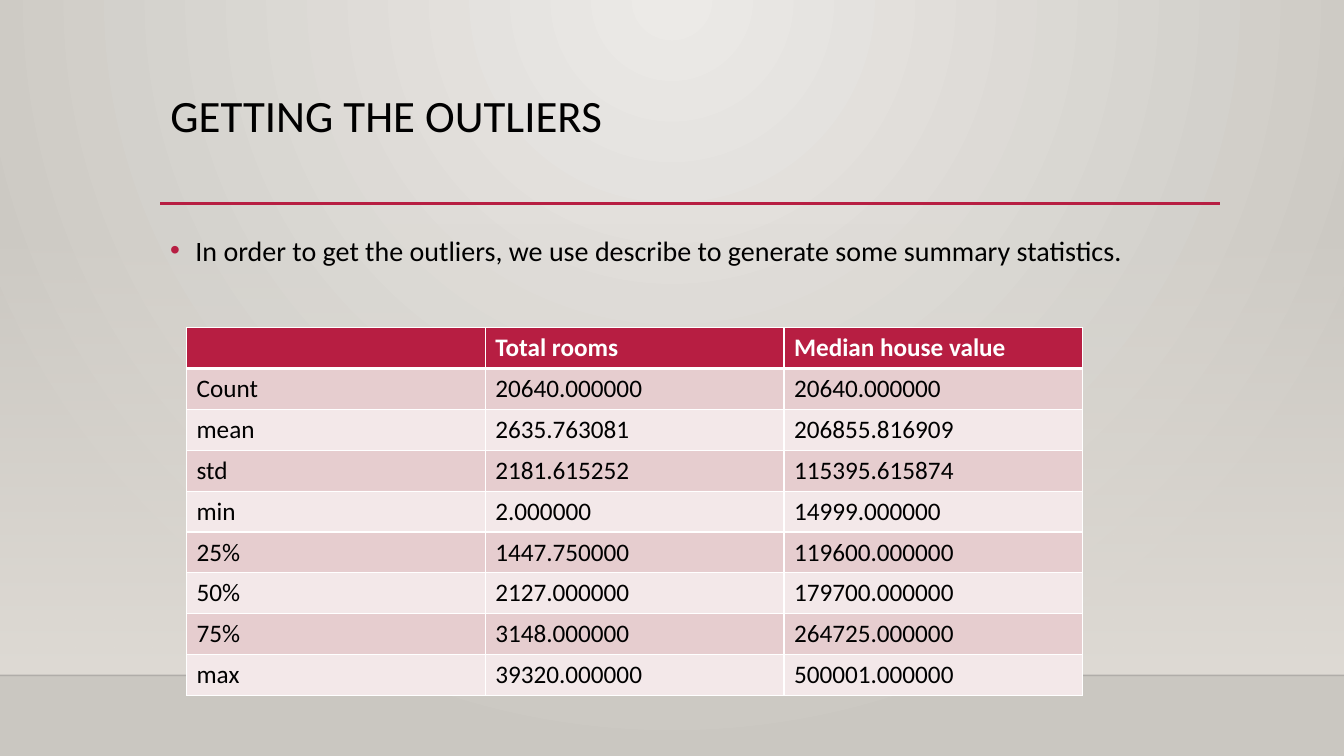
from dataclasses import dataclass

from lxml.etree import SubElement
from pptx import Presentation
from pptx.dml.color import RGBColor
from pptx.enum.shapes import MSO_CONNECTOR as Connector, MSO_SHAPE as Shape
from pptx.enum.text import MSO_ANCHOR as Anchor, PP_ALIGN as Align
from pptx.oxml import parse_xml
from pptx.oxml.ns import nsdecls, qn
from pptx.util import Inches, Pt


@dataclass(frozen=True)
class Theme:
    font: str = "Calibri"
    title_size: int = 32
    body_size: int = 20
    table_size: int = 18
    accent: str = "B71E42"
    text: str = "000000"
    white: str = "FFFFFF"
    glow: str = "ECEAE7"
    edge: str = "CAC7C1"
    wall: str = "DFDBD5"
    floor_line: str = "000001"
    bands: tuple = ("E6CDCF", "F3E8E9")


theme = Theme()


def write_text(frame, text, size, color=theme.text, bold=False, line_spacing=None):
    frame.word_wrap = True
    paragraph = frame.paragraphs[0]
    paragraph.alignment = Align.LEFT
    paragraph.line_spacing = line_spacing
    run = paragraph.add_run()
    run.text = text
    run.font.name = theme.font
    run.font.size = Pt(size)
    run.font.bold = bold
    run.font.color.rgb = RGBColor.from_string(color)
    return paragraph


def set_borders(cell, bottom):
    """Draw white cell borders, one point wide except for the bottom one."""
    properties = cell._tc.get_or_add_tcPr()
    for index, (side, width) in enumerate(zip("LRTB", (1, 1, 1, bottom))):
        properties.insert(index, parse_xml(
            f'<a:ln{side} {nsdecls("a")} w="{Pt(width)}"><a:solidFill>'
            f'<a:srgbClr val="{theme.white}"/></a:solidFill></a:ln{side}>'))


presentation = Presentation()
presentation.slide_width = Inches(13.33)
presentation.slide_height = Inches(7.5)
slide = presentation.slides.add_slide(presentation.slide_layouts[5])

# Radial background, brightest at the top centre
background = slide.background.fill
background.gradient()
for stop, color in zip(background.gradient_stops, (theme.glow, theme.edge)):
    stop.color.rgb = RGBColor.from_string(color)
gradient = slide.element.find(".//" + qn("a:gradFill"))
gradient.replace(gradient.find(qn("a:lin")), parse_xml(
    f'<a:path {nsdecls("a")} path="circle">'
    '<a:fillToRect l="43000" t="0" r="43000" b="100000"/></a:path>'))

# Wall that fades in towards the floor
wall = slide.shapes.add_shape(
    Shape.RECTANGLE, 0, Inches(2.21), Inches(13.33), Inches(4.49))
wall.shadow.inherit = False
wall.line.fill.background()
wall.fill.gradient()
wall.fill.gradient_angle = 270
for stop in wall.fill.gradient_stops:
    stop.color.rgb = RGBColor.from_string(theme.wall)
SubElement(wall.element.find(".//" + qn("a:srgbClr")), qn("a:alpha"), val="0")

# Floor line and title rule: left, right, height, colour, width, opacity
for left, right, y, color, width, opacity in (
    (0, 13.33, 6.7, theme.floor_line, 1, 20),
    (1.59, 12.1, 2.02, theme.accent, 2.5, 100),
):
    line = slide.shapes.add_connector(
        Connector.STRAIGHT, Inches(left), Inches(y), Inches(right), Inches(y))
    line.line.width = Pt(width)
    line.line.color.rgb = RGBColor.from_string(color)
    SubElement(line.element.find(".//" + qn("a:srgbClr")), qn("a:alpha"),
               val=str(opacity * 1000))
    SubElement(line.element.spPr, qn("a:effectLst"))

title = slide.shapes.title
title.left, title.top = Inches(1.59), Inches(0.88)
title.width, title.height = Inches(10.5), Inches(1.15)
title.text_frame.vertical_anchor = Anchor.TOP
write_text(title.text_frame, "GETTING THE OUTLIERS", theme.title_size, line_spacing=0.9)

body = slide.shapes.add_textbox(Inches(1.59), Inches(2.2), Inches(10.5), Inches(3.77))
bullet = write_text(
    body.text_frame,
    "In order to get the outliers, we use describe to generate some summary statistics.",
    theme.body_size, line_spacing=1.2)
bullet.space_before = Pt(10)
bullet_format = bullet._p.get_or_add_pPr()
bullet_format.set("marL", str(Inches(0.25)))
bullet_format.set("indent", str(Inches(-0.25)))
bullet_color = SubElement(bullet_format, qn("a:buClr"))
SubElement(bullet_color, qn("a:srgbClr"), val=theme.accent)
SubElement(bullet_format, qn("a:buFont"), typeface="Arial")
SubElement(bullet_format, qn("a:buChar"), char="•")

statistics = (
    ("", "Total rooms", "Median house value"),
    ("Count", "20640.000000", "20640.000000"),
    ("mean", "2635.763081", "206855.816909"),
    ("std", "2181.615252", "115395.615874"),
    ("min", "2.000000", "14999.000000"),
    ("25%", "1447.750000", "119600.000000"),
    ("50%", "2127.000000", "179700.000000"),
    ("75%", "3148.000000", "264725.000000"),
    ("max", "39320.000000", "500001.000000"),
)
table = slide.shapes.add_table(
    len(statistics), len(statistics[0]),
    Inches(1.85), Inches(3.25), Inches(8.89), Inches(3.65)).table
for row, values in enumerate(statistics):
    header = row == 0
    for column, value in enumerate(values):
        cell = table.cell(row, column)
        cell.fill.solid()
        cell.fill.fore_color.rgb = RGBColor.from_string(
            theme.accent if header else theme.bands[(row - 1) % 2])
        set_borders(cell, bottom=3 if header else 1)
        if value:
            write_text(cell.text_frame, value, theme.table_size, bold=header,
                       color=theme.white if header else theme.text)

presentation.save("out.pptx")
